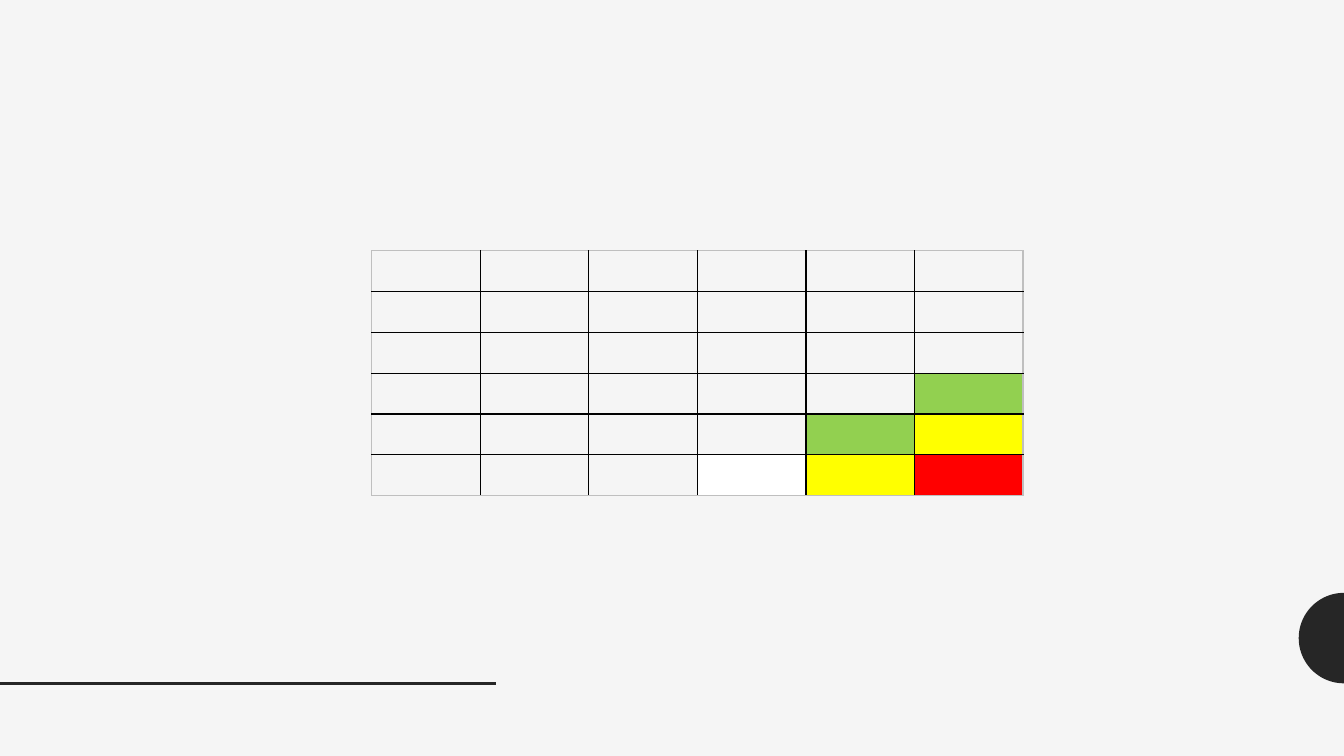
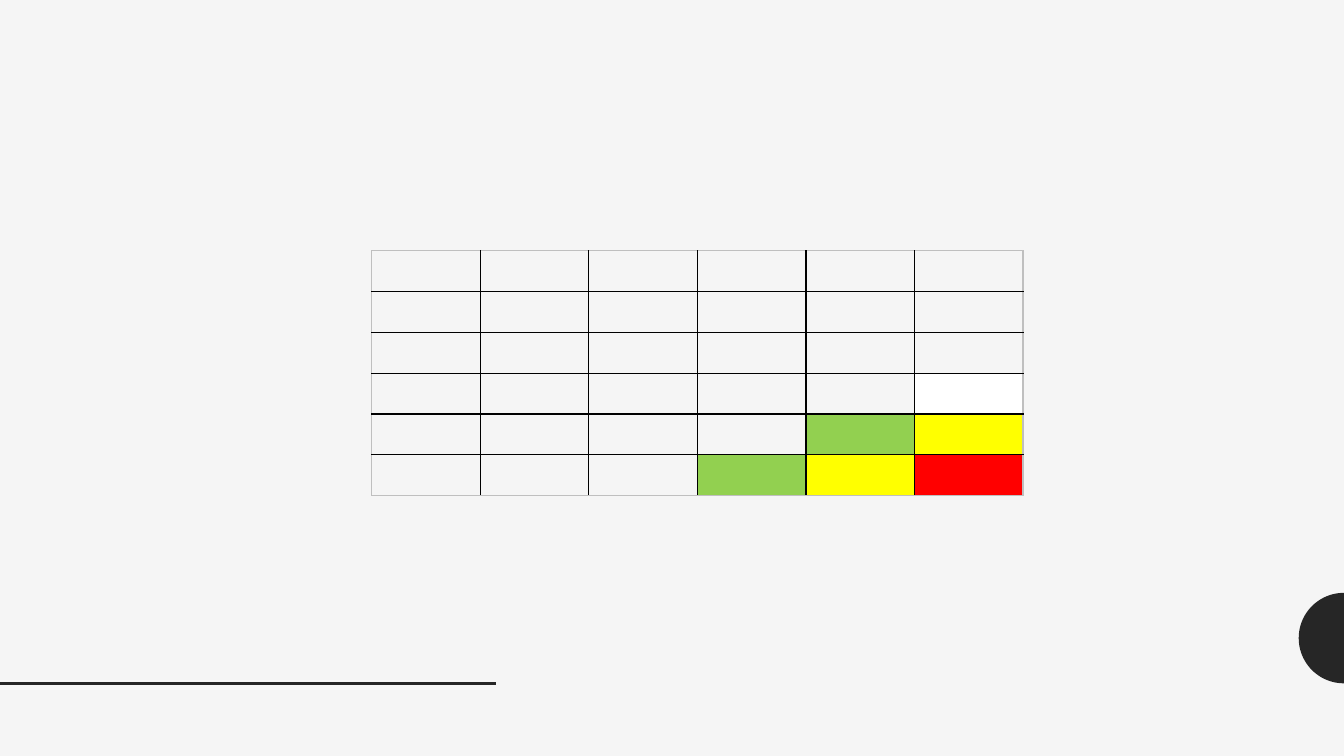
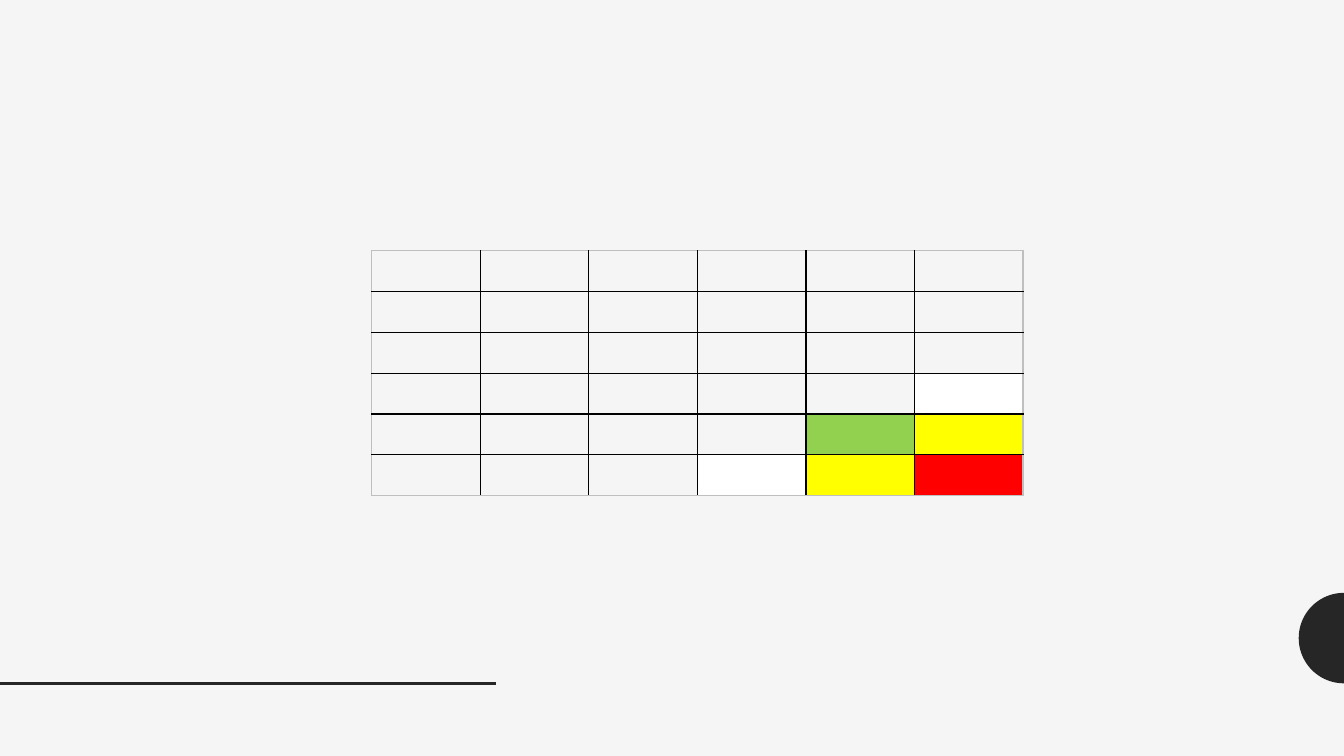
from dataclasses import dataclass
from math import cos, pi, sin

from lxml import etree
from pptx import Presentation
from pptx.dml.color import RGBColor
from pptx.enum.shapes import MSO_CONNECTOR
from pptx.oxml.ns import qn
from pptx.util import Cm, Pt

STRAIGHT = MSO_CONNECTOR.STRAIGHT


@dataclass(frozen=True)
class Theme:
    background: str = "F5F5F5"
    ink: str = "262626"
    grid: str = "000000"
    frame: str = "BFBFBF"
    white: str = "FFFFFF"
    green: str = "92D050"
    yellow: str = "FFFF00"
    red: str = "FF0000"
    rule_width: float = 2
    grid_width: float = 1
    divider_width: float = 1.5


theme = Theme()
SIZE = 6  # rows and columns of the matrix
WIDTH, HEIGHT = Cm(33.87), Cm(19.05)


def add_border(cell, side, color, width):
    """Draw one side (L, R, T or B) of a table cell."""
    line = etree.SubElement(cell._tc.get_or_add_tcPr(), qn(f"a:ln{side}"), w=str(Pt(width)))
    fill = etree.SubElement(line, qn("a:solidFill"))
    etree.SubElement(fill, qn("a:srgbClr"), val=color)


# Deck and shared background
deck = Presentation()
deck.slide_width, deck.slide_height = WIDTH, HEIGHT
backdrop = deck.slide_master.background.fill
backdrop.solid()
backdrop.fore_color.rgb = RGBColor.from_string(theme.background)

# Half disc on the right edge, from its top round to its bottom
disc_y, disc_radius, steps = Cm(16.08), Cm(1.14), 48
arc = [(WIDTH - disc_radius * sin(pi * i / steps),
        disc_y - disc_radius * cos(pi * i / steps)) for i in range(steps + 1)]

# Coloured cells by (row, column): a fixed corner, then what varies by slide
corner = {(4, 4): theme.green, (4, 5): theme.yellow,
          (5, 4): theme.yellow, (5, 5): theme.red}
variants = [
    {(3, 5): theme.green, (5, 3): theme.white},
    {(3, 5): theme.white, (5, 3): theme.green},
    {(3, 5): theme.white, (5, 3): theme.white},
]

for variant in variants:
    slide = deck.slides.add_slide(deck.slide_layouts[6])

    # Half disc
    outline = slide.shapes.build_freeform(*arc[0], scale=1.0)
    outline.add_line_segments(arc[1:], close=True)
    half_disc = outline.convert_to_shape()
    half_disc.shadow.inherit = False
    half_disc.fill.solid()
    half_disc.fill.fore_color.rgb = RGBColor.from_string(theme.ink)
    half_disc.line.fill.background()

    # Footer rule
    rule = slide.shapes.add_connector(STRAIGHT, 0, Cm(17.22), Cm(12.5), Cm(17.22))
    rule.line.color.rgb = RGBColor.from_string(theme.ink)
    rule.line.width = Pt(theme.rule_width)
    etree.SubElement(rule._element.spPr, qn("a:effectLst"))

    # Matrix
    matrix = slide.shapes.add_table(
        SIZE, SIZE, Cm(9.37), Cm(6.32), Cm(16.41), Cm(6.17)).table
    matrix.first_row = matrix.horz_banding = False
    fills = corner | variant
    for row in range(SIZE):
        for column in range(SIZE):
            cell = matrix.cell(row, column)
            cell.margin_top = cell.margin_bottom = Cm(0.1)
            # Position of each side among the grid lines, 0 and SIZE being the frame
            sides = {"L": column, "R": column + 1, "T": row, "B": row + 1}
            for side, position in sides.items():
                color = theme.frame if position in (0, SIZE) else theme.grid
                is_divider = side in "LR" and position == SIZE - 1
                add_border(cell, side, color,
                           theme.divider_width if is_divider else theme.grid_width)
            if (row, column) in fills:
                cell.fill.solid()
                cell.fill.fore_color.rgb = RGBColor.from_string(fills[row, column])
            else:
                cell.fill.background()

deck.save("out.pptx")
